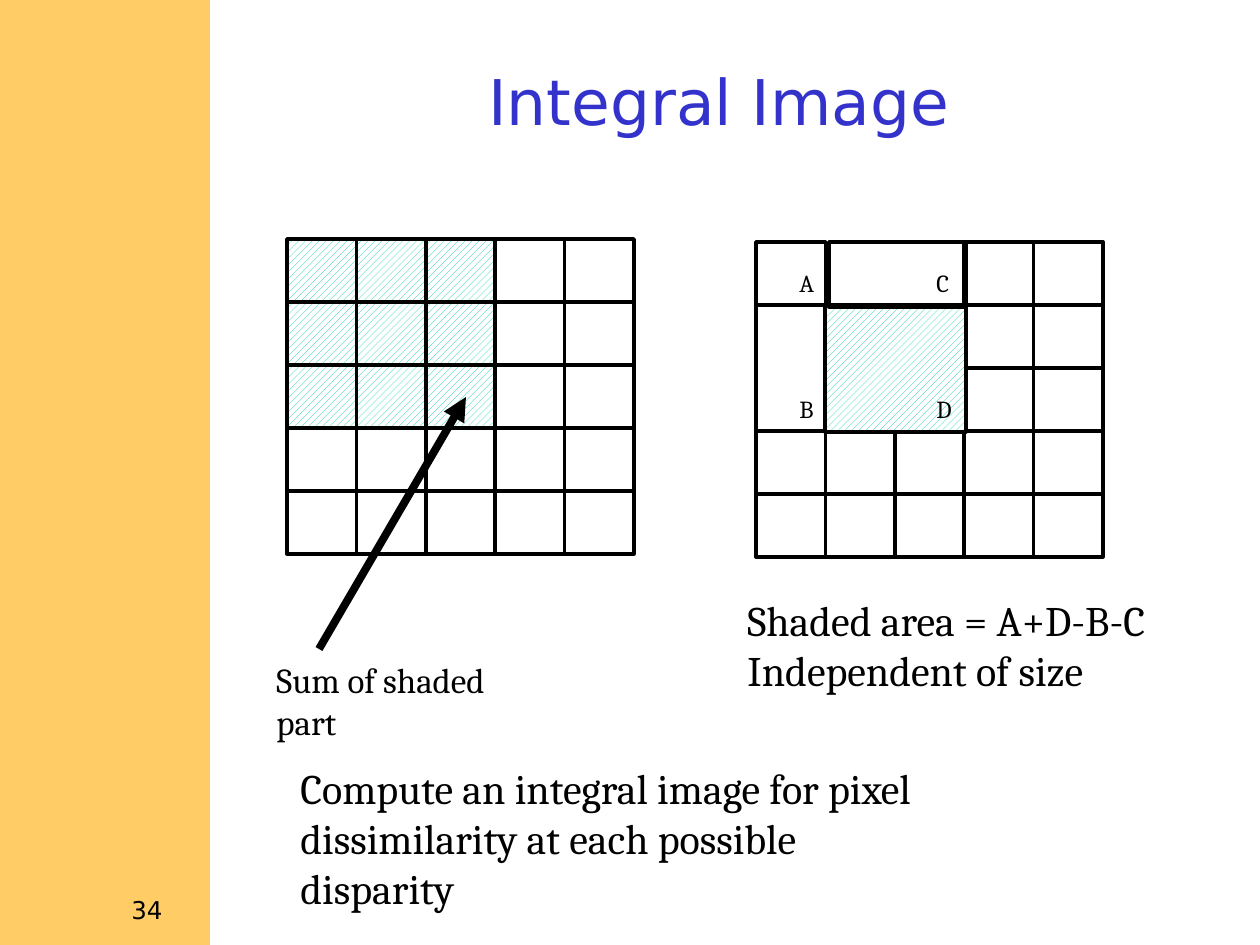
import pptx
import pptx.dml.color
import pptx.enum.dml
import pptx.enum.shapes
import pptx.enum.text
import pptx.oxml.ns
import pptx.util
from lxml import etree

SCALE = 914400 / 126
BLACK, BLUE, GREEN, ORANGE, WHITE = "000000", "3333CC", "00CC99", "FFCC66", "FFFFFF"
SERIF, SANS = "Cambria", "DejaVu Sans"
ALIGN = pptx.enum.text.PP_ALIGN
ANCHOR = pptx.enum.text.MSO_ANCHOR

GRID_SIZE = 5
GRID_WIDTH, GRID_HEIGHT = 347, 315
SUM_GRID = (287, 239)
AREA_GRID = (756, 242)
SHADED_CELLS = {(column, row) for column in range(3) for row in range(3)}
MERGED_CELLS = {(column, row) for column in (1, 2) for row in range(3)} | {(0, 1), (0, 2)}
MERGED_BOXES = [
    ((825, 305, 141, 127), True),
    ((756, 305, 69, 126), False),
    ((829, 242, 137, 65), False),
]
ARROW = (319, 649, 466, 397)

TITLE = ("Integral Image", (210, 53, 1018, 95), 36)
SLIDE_NUMBER = ("34", (62, 889, 113, 34), 14)
CORNER_LABELS = [
    ("A", (787, 262, 43, 42), 14),
    ("C", (924, 262, 42, 42), 14),
    ("D", (924, 388, 43, 42), 14),
    ("B", (787, 388, 42, 42), 14),
]
CAPTIONS = [
    ("Sum of shaded part", (264, 652, 296, 54), 20),
    ("Compute an integral image for pixel\vdissimilarity at each possible disparity",
     (288, 756, 669, 113), 24),
]
AREA_CAPTION = ("Shaded area = A+D-B-C\vIndependent of size", (735, 588, 442, 113), 24)


def emu(pixels):
    return pptx.util.Emu(round(pixels * SCALE))


def color(hex_string):
    return pptx.dml.color.RGBColor.from_string(hex_string)


def add_text(shapes, content, font=SERIF, font_color=BLACK, align=ALIGN.LEFT, anchor=ANCHOR.TOP):
    text, box, size = content
    frame = shapes.add_textbox(*map(emu, box)).text_frame
    frame.word_wrap = True
    frame.vertical_anchor = anchor
    paragraph = frame.paragraphs[0]
    paragraph.text = text
    paragraph.alignment = align
    paragraph.font.name = font
    paragraph.font.size = pptx.util.Pt(size)
    paragraph.font.color.rgb = color(font_color)


def add_rectangle(shapes, box):
    shape = shapes.add_shape(pptx.enum.shapes.MSO_SHAPE.RECTANGLE, *map(emu, box))
    shape.shadow.inherit = False
    return shape


def add_cell(shapes, box, shaded):
    shape = add_rectangle(shapes, box)
    if shaded:
        shape.fill.patterned()
        shape.fill.pattern = pptx.enum.dml.MSO_PATTERN.WIDE_UPWARD_DIAGONAL
        shape.fill.fore_color.rgb = color(GREEN)
        shape.fill.back_color.rgb = color(WHITE)
    else:
        shape.fill.background()
    shape.line.color.rgb = color(BLACK)
    shape.line.width = pptx.util.Pt(2)


def add_grid(shapes, origin, shaded=(), skipped=()):
    left, top = origin
    width, height = GRID_WIDTH / GRID_SIZE, GRID_HEIGHT / GRID_SIZE
    for row in range(GRID_SIZE):
        for column in range(GRID_SIZE):
            if (column, row) not in skipped:
                box = (left + column * width, top + row * height, width, height)
                add_cell(shapes, box, (column, row) in shaded)


def add_arrow(shapes, points):
    connector = shapes.add_connector(
        pptx.enum.shapes.MSO_CONNECTOR.STRAIGHT, *map(emu, points))
    connector.line.color.rgb = color(BLACK)
    connector.line.width = pptx.util.Pt(4.5)
    qn = pptx.oxml.ns.qn
    properties = connector.element.spPr
    etree.SubElement(properties.find(qn("a:ln")), qn("a:tailEnd"), type="triangle")
    etree.SubElement(properties, qn("a:effectLst"))


def main():
    presentation = pptx.Presentation()
    presentation.slide_width, presentation.slide_height = emu(1260), emu(945)
    slide = presentation.slides.add_slide(presentation.slide_layouts[6])
    shapes = slide.shapes

    sidebar = add_rectangle(shapes, (0, 0, 210, 945))
    sidebar.fill.solid()
    sidebar.fill.fore_color.rgb = color(ORANGE)
    sidebar.line.fill.background()
    add_text(shapes, SLIDE_NUMBER, SANS, align=ALIGN.RIGHT)
    add_text(shapes, TITLE, SANS, BLUE, ALIGN.CENTER, ANCHOR.MIDDLE)

    add_grid(shapes.add_group_shape().shapes, SUM_GRID, shaded=SHADED_CELLS)
    add_arrow(shapes, ARROW)
    for caption in CAPTIONS:
        add_text(shapes, caption)

    area_shapes = shapes.add_group_shape().shapes
    add_grid(area_shapes, AREA_GRID, skipped=MERGED_CELLS)
    for box, shaded in MERGED_BOXES:
        add_cell(area_shapes, box, shaded)
    for content in CORNER_LABELS + [AREA_CAPTION]:
        add_text(area_shapes, content)

    presentation.save("out.pptx")


if __name__ == "__main__":
    main()
